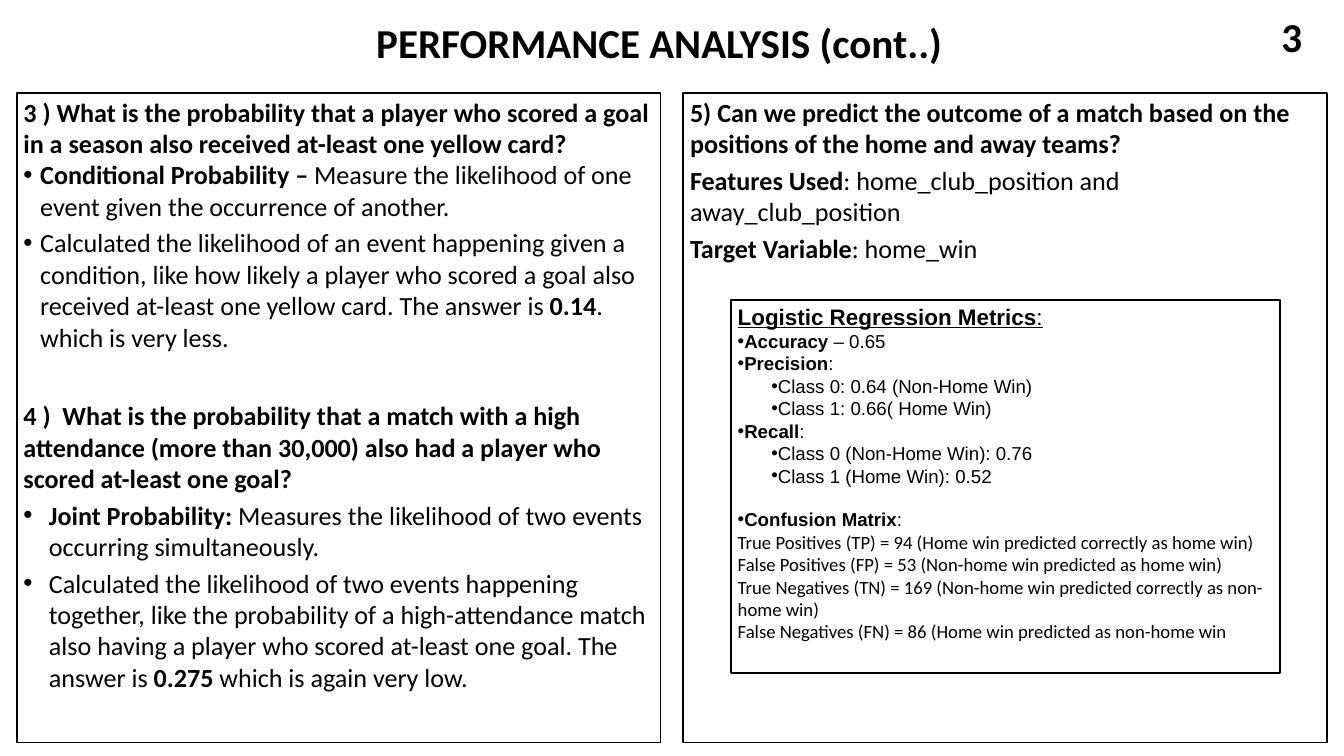
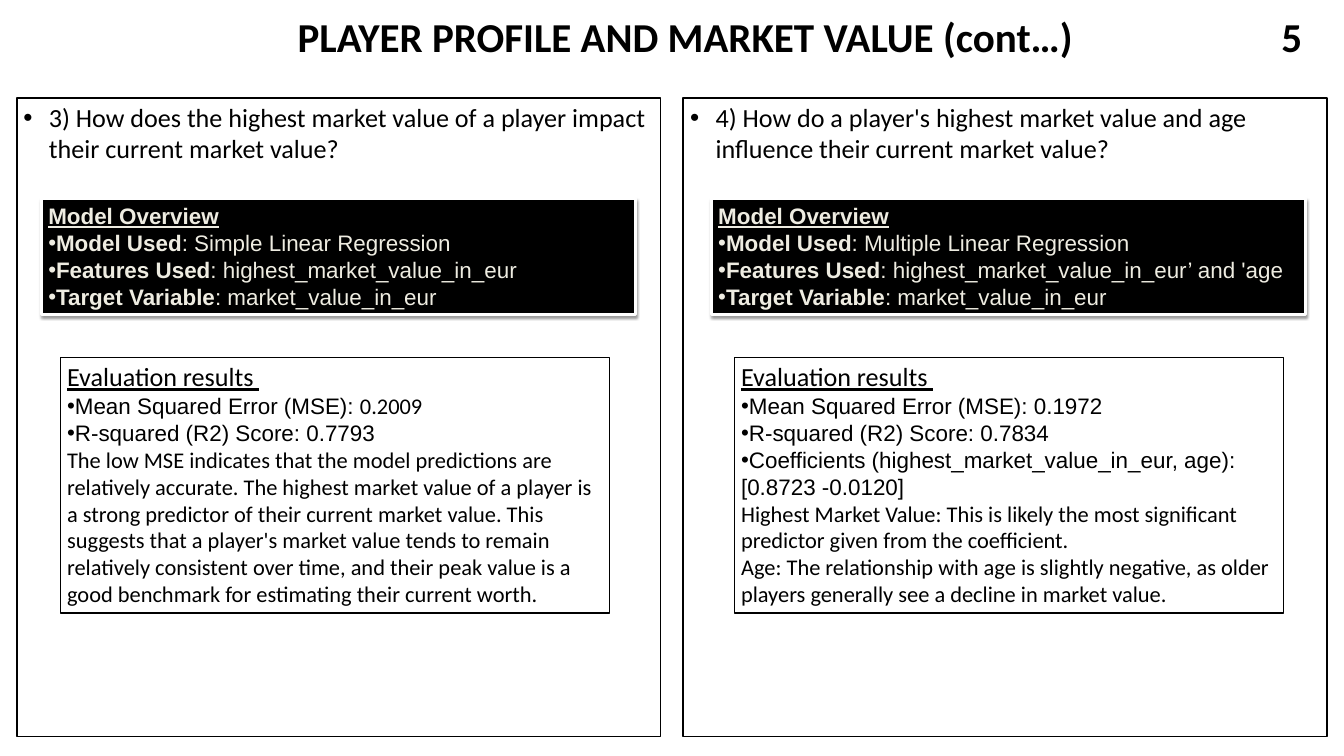
"""Builds two slides of questions and model results about football data."""
from dataclasses import dataclass

from lxml.etree import SubElement
from pptx import Presentation
from pptx.dml.color import RGBColor
from pptx.enum.shapes import MSO_SHAPE
from pptx.enum.text import MSO_ANCHOR, PP_ALIGN
from pptx.oxml.ns import qn
from pptx.util import Inches, Pt

BLACK = RGBColor(0x00, 0x00, 0x00)
WHITE = RGBColor(0xFF, 0xFF, 0xFF)
CREAM = RGBColor(0xEE, 0xEC, 0xE1)


@dataclass
class ParagraphStyle:
    font: str = "Calibri"
    size: int = 28
    bullet: bool = False
    margin: float = 0
    indent: float = 0
    before: float = 0
    after: float = 0


STYLES = {
    "title": ParagraphStyle(size=44),
    "question": ParagraphStyle(),
    "next question": ParagraphStyle(before=45),
    "fact": ParagraphStyle(before=5.6),
    "tight point": ParagraphStyle(bullet=True, margin=0.25, indent=-0.25, after=5.6),
    "point": ParagraphStyle(bullet=True, margin=0.38, indent=-0.38, before=5.6),
    "heading": ParagraphStyle("Arial", 24),
    "metric": ParagraphStyle("Arial", 20, bullet=True),
    "class": ParagraphStyle("Arial", 20, bullet=True, margin=0.5),
    "matrix": ParagraphStyle("Arial", 20, bullet=True, before=23),
    "count": ParagraphStyle(size=20),
    "item": ParagraphStyle("Arial", 24, bullet=True),
    "comment": ParagraphStyle(size=24),
}


def bold(text):
    return text, {"bold": True}


def underlined(text, **font):
    return text, {"underline": True, **font}


PROBABILITY = [
    ("question", bold("3 ) What is the probability that a player who scored a goal in a season "
                      "also received at-least one yellow card?")),
    ("tight point", bold("Conditional Probability – "),
     "Measure the likelihood of one event given the occurrence of another."),
    ("tight point", "Calculated the likelihood of an event happening given a condition, like how "
     "likely a player who scored a goal also received at-least one yellow card. The answer is ",
     bold("0.14"), ". which is very less."),
    ("next question", bold("4 ) \u00a0What is the probability that a match with a high attendance "
                           "(more than 30,000) also had a player who scored at-least one goal?")),
    ("point", bold("Joint Probability: "),
     "Measures the likelihood of two events occurring simultaneously."),
    ("point", "Calculated the likelihood of two events happening together, like the probability "
     "of a high-attendance match also having a player who scored at-least one goal. The answer is ",
     bold("0.275"), " which is again very low."),
]
PREDICTION = [
    ("question", bold("5) Can we predict the outcome of a match based on the positions of the "
                      "home and away teams?")),
    ("fact", bold("Features Used"), ": home_club_position and away_club_position"),
    ("fact", bold("Target Variable"), ": home_win"),
]
METRICS = [
    ("heading", underlined("Logistic Regression Metrics", bold=True), underlined(":")),
    ("metric", bold("Accuracy"), " – 0.65"),
    ("metric", bold("Precision"), ":"),
    ("class", "Class 0: 0.64 (Non-Home Win)"),
    ("class", "Class 1: 0.66( Home Win)"),
    ("metric", bold("Recall"), ":"),
    ("class", "Class 0 (Non-Home Win): 0.76"),
    ("class", "Class 1 (Home Win): 0.52"),
    ("matrix", bold("Confusion Matrix"), ":"),
    ("count", "True Positives (TP) = 94 (Home win predicted correctly as home win)"),
    ("count", "False Positives (FP) = 53 (Non-home win predicted as home win)"),
    ("count", "True Negatives (TN) = 169 (Non-home win predicted correctly as non-home win)"),
    ("count", "False Negatives (FN) = 86 (Home win predicted as non-home win"),
]
HIGHEST_VALUE = [
    ("point", "3) How does the highest market value of a player impact their current market value?"),
]
VALUE_AND_AGE = [
    ("point", "4) How do a player's highest market value and age influence their current "
     "market value?"),
]
RESULTS_HEADING = ("question", underlined("Evaluation results "))
SIMPLE_RESULTS = [
    RESULTS_HEADING,
    ("item", "Mean Squared Error (MSE): ", ("0.2009", {"name": "Calibri"})),
    ("item", "R-squared (R2) Score: 0.7793"),
    ("comment", "The low MSE indicates that the model predictions are relatively accurate. The "
     "highest market value of a player is a strong predictor of their current market value. This "
     "suggests that a player's market value tends to remain relatively consistent over time, and "
     "their peak value is a good benchmark for estimating their current worth."),
]
MULTIPLE_RESULTS = [
    RESULTS_HEADING,
    ("item", "Mean Squared Error (MSE): 0.1972"),
    ("item", "R-squared (R2) Score: 0.7834"),
    ("item", "Coefficients (highest_market_value_in_eur, age): [0.8723 -0.0120]"),
    ("comment", "Highest Market Value: This is likely the most significant predictor given from "
     "the coefficient."),
    ("comment", "Age: The relationship with age is slightly negative, as older players generally "
     "see a decline in market value."),
]


def model_overview(model, features):
    return [
        ("heading", underlined("Model Overview", bold=True)),
        ("item", bold("Model Used"), f": {model}"),
        ("item", bold("Features Used"), f": {features}"),
        ("item", bold("Target Variable"), ": market_value_in_eur"),
    ]


def write(shape, paragraphs, color=BLACK):
    frame = shape.text_frame
    frame.word_wrap = True
    frame.vertical_anchor = MSO_ANCHOR.TOP
    for index, (style_name, *runs) in enumerate(paragraphs):
        style = STYLES[style_name]
        paragraph = frame.add_paragraph() if index else frame.paragraphs[0]
        paragraph.alignment = PP_ALIGN.LEFT
        paragraph.space_before = Pt(style.before)
        paragraph.space_after = Pt(style.after)
        properties = paragraph._p.get_or_add_pPr()
        properties.set("marL", str(Inches(style.margin)))
        properties.set("indent", str(Inches(style.indent)))
        if style.bullet:
            SubElement(properties, qn("a:buFont")).set("typeface", "Arial")
            SubElement(properties, qn("a:buChar")).set("char", "•")
        for part in runs:
            text, changes = (part, {}) if isinstance(part, str) else part
            run = paragraph.add_run()
            run.text = text
            run.font.name = style.font
            run.font.size = Pt(style.size)
            run.font.color.rgb = color
            run.font.bold = False
            for attribute, value in changes.items():
                setattr(run.font, attribute, value)


def add_box(slide, place, paragraphs, fill=None, line=BLACK, width=2, color=BLACK):
    shape = slide.shapes.add_shape(MSO_SHAPE.RECTANGLE, *map(Inches, place))
    shape.shadow.inherit = False
    if fill is None:
        shape.fill.background()
    else:
        shape.fill.solid()
        shape.fill.fore_color.rgb = fill
    shape.line.color.rgb = line
    shape.line.width = Pt(width)
    write(shape, paragraphs, color)
    return shape


def add_overview(slide, left, paragraphs):
    shape = add_box(slide, (left, 2.96, 8.84, 1.72), paragraphs, BLACK, WHITE, 3, CREAM)
    effects = shape._element.spPr.find(qn("a:effectLst"))
    shadow = SubElement(effects, qn("a:outerShdw"), blurRad=str(Pt(3.1)), dist=str(Pt(1.6)),
                        dir="5400000", rotWithShape="0")
    shade = SubElement(shadow, qn("a:srgbClr"), val=str(BLACK))
    SubElement(shade, qn("a:alpha"), val="38000")


def add_result(slide, left, top, height, paragraphs):
    add_box(slide, (left, top, 8.17, height), paragraphs, WHITE)


def add_label(slide, left, top, width, text):
    label = slide.shapes.add_textbox(*map(Inches, (left, top, width, 0.84)))
    write(label, [("title", bold(text))])


def add_page(presentation, title, title_place, number, panel_top, panel_height, panels):
    slide = presentation.slides.add_slide(presentation.slide_layouts[6])
    for left, paragraphs in zip((0.25, 10.17), panels):
        add_box(slide, (left, panel_top, 9.58, panel_height), paragraphs)
    add_label(slide, *title_place, title)
    add_label(slide, 18.97, 0.12, 1, number)
    return slide


def main():
    presentation = Presentation()
    presentation.slide_width = Inches(20)
    presentation.slide_height = Inches(11.25)

    analysis = add_page(presentation, "PERFORMANCE ANALYSIS (cont..)", (5.5, 0.21, 10), "3",
                        1.38, 9.67, (PROBABILITY, PREDICTION))
    add_result(analysis, 10.88, 4.46, 5.55, METRICS)

    market = add_page(presentation, "PLAYER PROFILE AND MARKET VALUE (cont…)", (4.33, 0.12, 12.92),
                      "5", 1.46, 9.5, (HIGHEST_VALUE, VALUE_AND_AGE))
    add_overview(market, 0.62, model_overview("Simple Linear Regression",
                                              "highest_market_value_in_eur"))
    add_overview(market, 10.59, model_overview("Multiple Linear Regression",
                                               "highest_market_value_in_eur’ and 'age"))
    add_result(market, 0.9, 5.32, 3.8, SIMPLE_RESULTS)
    add_result(market, 10.93, 5.32, 3.8, MULTIPLE_RESULTS)

    presentation.save("out.pptx")


if __name__ == "__main__":
    main()
